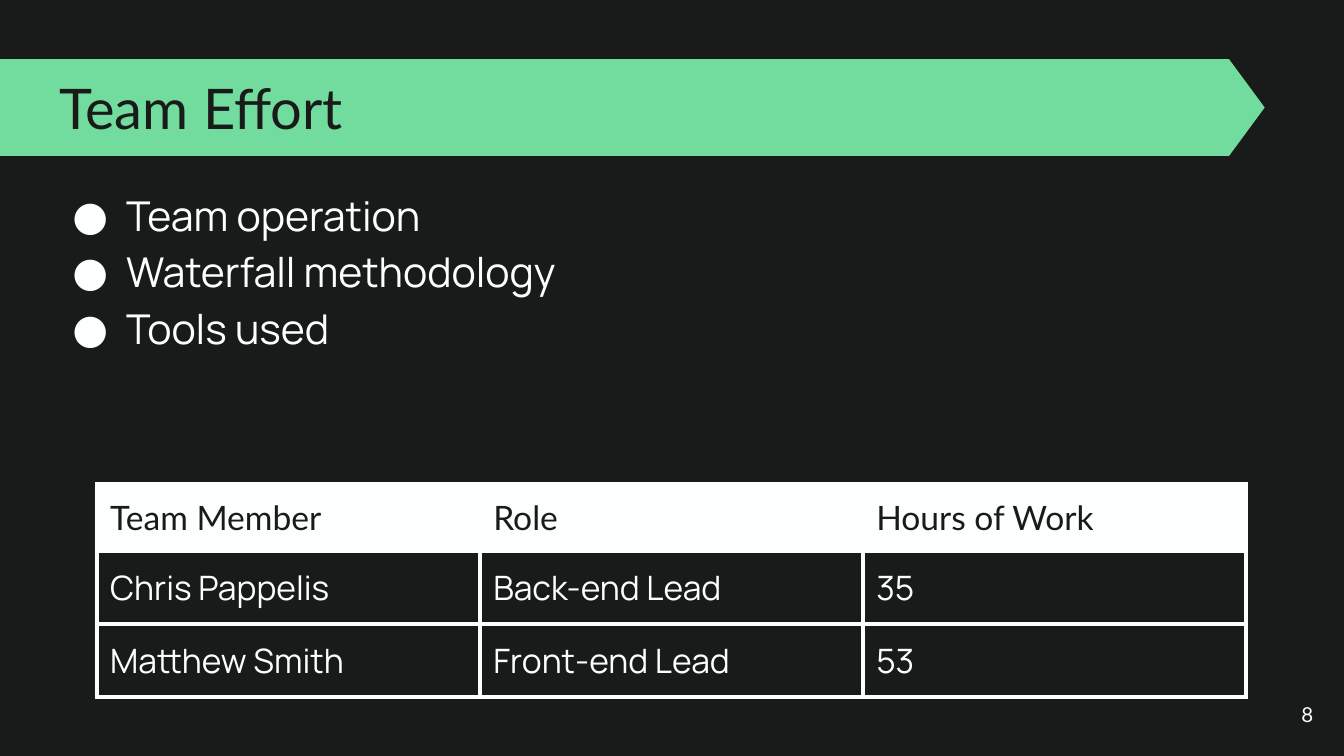
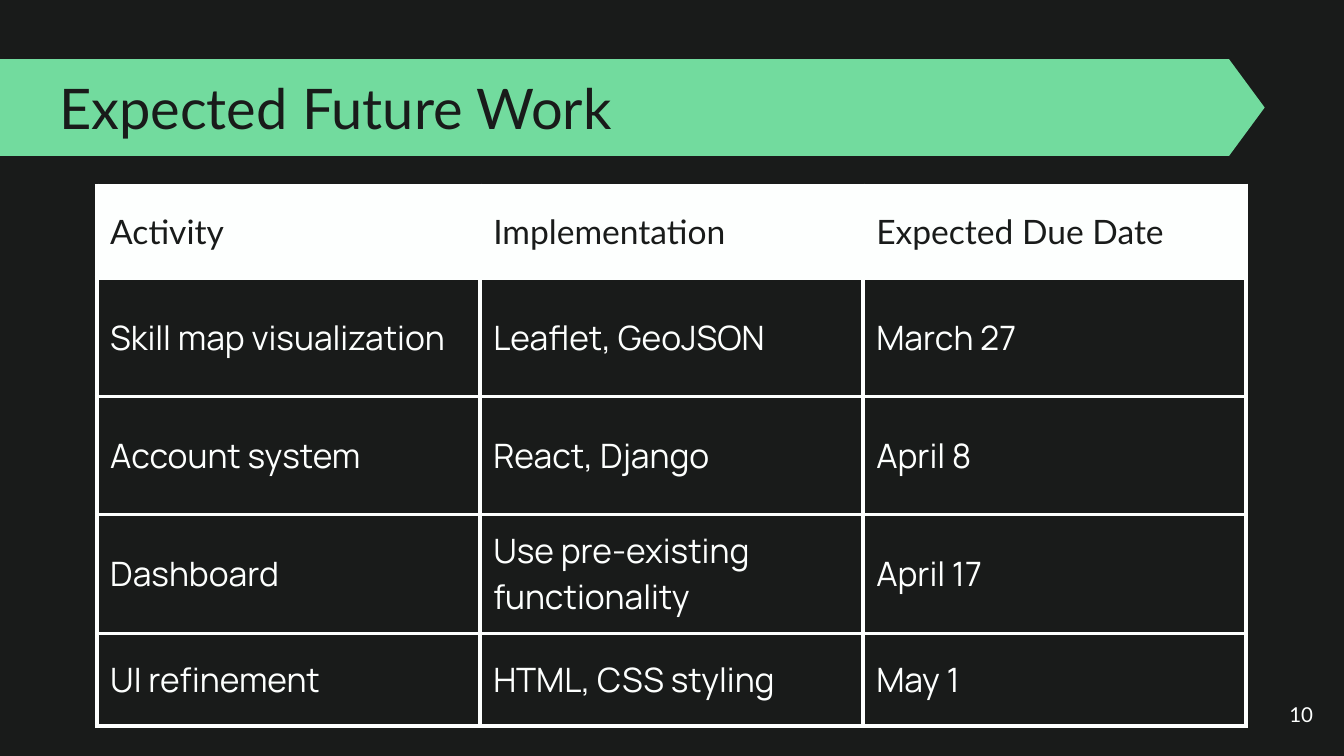
from dataclasses import dataclass

import lxml.etree
import pptx
import pptx.dml.color
import pptx.enum.shapes
import pptx.enum.text
import pptx.oxml.ns
import pptx.presentation
import pptx.shapes.autoshape
import pptx.slide
import pptx.table
import pptx.text.text
import pptx.util

Inches = pptx.util.Inches
Pt = pptx.util.Pt
Color = pptx.dml.color.RGBColor
Align = pptx.enum.text.PP_ALIGN
Anchor = pptx.enum.text.MSO_ANCHOR
qn = pptx.oxml.ns.qn


@dataclass(frozen=True)
class Theme:
    dark: Color = Color.from_string("191B1A")
    light: Color = Color.from_string("FDFFFE")
    green: Color = Color.from_string("72DB9E")
    heading_font: str = "Lato"
    body_font: str = "Manrope"
    title_size: int = 30
    bullet_size: int = 22
    table_size: int = 18
    number_size: int = 11
    border_width: float = 2.25


@dataclass(frozen=True)
class Area:
    left: float
    top: float
    width: float
    height: float

    def lengths(self) -> tuple[int, int, int, int]:
        return (Inches(self.left), Inches(self.top), Inches(self.width), Inches(self.height))


@dataclass(frozen=True)
class TableContent:
    top: float
    row_heights: list[float]
    rows: list[list[str]]


@dataclass(frozen=True)
class PageContent:
    title: str
    number: int
    table: TableContent
    bullets: tuple[str, ...] = ()


THEME = Theme()
BAND = Area(0, 0.44, 9.41, 0.72)
TITLE = Area(0.34, 0.44, 9.32, 0.72)
BODY = Area(0.34, 1.26, 9.32, 2.13)
NUMBER = Area(9.27, 5.1, 0.6, 0.43)
MARGIN = Inches(0.1)
TABLE_LEFT = 0.72
COLUMN_WIDTH = 2.85

PAGES = [
    PageContent(
        "Team Effort",
        8,
        TableContent(
            3.6,
            [0.45, 0.45, 0.45],
            [
                ["Team Member", "Role", "Hours of Work"],
                ["Chris Pappelis", "Back-end Lead", "35"],
                ["Matthew Smith", "Front-end Lead", "53"],
            ],
        ),
        ("Team operation", "Waterfall methodology", "Tools used"),
    ),
    PageContent(
        "Expected Future Work",
        10,
        TableContent(
            1.38,
            [0.69, 0.88, 0.88, 0.69, 0.69],
            [
                ["Activity", "Implementation", "Expected Due Date"],
                ["Skill map visualization", "Leaflet, GeoJSON", "March 27"],
                ["Account system", "React, Django", "April 8"],
                ["Dashboard", "Use pre-existing functionality", "April 17"],
                ["UI refinement", "HTML, CSS styling", "May 1"],
            ],
        ),
    ),
]


def style_paragraph(
    para: pptx.text.text._Paragraph, font: str, size: int, color: Color, align: Align = Align.LEFT
) -> None:
    para.alignment = align
    para.font.name = font
    para.font.size = Pt(size)
    para.font.bold = False
    para.font.color.rgb = color


def prepare_frame(frame: pptx.text.text.TextFrame, anchor: Anchor) -> None:
    frame.word_wrap = True
    frame.auto_size = pptx.enum.text.MSO_AUTO_SIZE.NONE
    frame.vertical_anchor = anchor
    frame.margin_left = frame.margin_right = MARGIN
    frame.margin_top = frame.margin_bottom = MARGIN


def draw_band(page: pptx.slide.Slide) -> pptx.shapes.autoshape.Shape:
    band = page.shapes.add_shape(pptx.enum.shapes.MSO_SHAPE.PENTAGON, *BAND.lengths())
    band.adjustments[0] = 0.368
    band.shadow.inherit = False
    band.fill.solid()
    band.fill.fore_color.rgb = THEME.green
    band.line.fill.background()
    return band


def draw_title(page: pptx.slide.Slide, text: str) -> None:
    title = page.shapes.title
    title.left, title.top, title.width, title.height = TITLE.lengths()
    prepare_frame(title.text_frame, Anchor.MIDDLE)
    title.text_frame.text = text
    style_paragraph(
        title.text_frame.paragraphs[0], THEME.heading_font, THEME.title_size, THEME.dark
    )


def draw_number(page: pptx.slide.Slide, number: int) -> None:
    frame = page.shapes.add_textbox(*NUMBER.lengths()).text_frame
    prepare_frame(frame, Anchor.MIDDLE)
    frame.text = str(number)
    style_paragraph(
        frame.paragraphs[0], THEME.heading_font, THEME.number_size, THEME.light, Align.RIGHT
    )


def add_bullet(para: pptx.text.text._Paragraph) -> None:
    properties = para._p.get_or_add_pPr()
    properties.set("marL", str(Inches(0.5)))
    properties.set("indent", str(Inches(-0.4)))
    color = lxml.etree.Element(qn("a:buClr"))
    lxml.etree.SubElement(color, qn("a:srgbClr"), val=str(THEME.light))
    font = lxml.etree.Element(qn("a:buFont"), typeface=THEME.body_font)
    mark = lxml.etree.Element(qn("a:buChar"), char="●")
    default_font = properties.find(qn("a:defRPr"))
    for element in (color, font, mark):
        default_font.addprevious(element)


def draw_bullets(page: pptx.slide.Slide, bullets: tuple[str, ...]) -> None:
    frame = page.shapes.add_textbox(*BODY.lengths()).text_frame
    prepare_frame(frame, Anchor.TOP)
    frame.text = "\n".join(bullets)
    for para in frame.paragraphs:
        style_paragraph(para, THEME.body_font, THEME.bullet_size, THEME.light)
        para.line_spacing = 1.15
        add_bullet(para)


def add_borders(cell: pptx.table._Cell) -> None:
    properties = cell._tc.get_or_add_tcPr()
    for side in ("a:lnL", "a:lnR", "a:lnT", "a:lnB"):
        line = lxml.etree.SubElement(properties, qn(side), w=str(Pt(THEME.border_width)))
        fill = lxml.etree.SubElement(line, qn("a:solidFill"))
        lxml.etree.SubElement(fill, qn("a:srgbClr"), val=str(THEME.light))


def draw_cell(cell: pptx.table._Cell, text: str, is_header: bool) -> None:
    add_borders(cell)
    cell.text = text
    cell.vertical_anchor = Anchor.MIDDLE
    cell.margin_left = cell.margin_right = MARGIN
    cell.margin_top = cell.margin_bottom = MARGIN
    para = cell.text_frame.paragraphs[0]
    if is_header:
        cell.fill.solid()
        cell.fill.fore_color.rgb = THEME.light
        style_paragraph(para, THEME.heading_font, THEME.table_size, THEME.dark)
    else:
        cell.fill.background()
        style_paragraph(para, THEME.body_font, THEME.table_size, THEME.light)


def draw_table(page: pptx.slide.Slide, content: TableContent) -> None:
    column_count = len(content.rows[0])
    area = Area(
        TABLE_LEFT, content.top, COLUMN_WIDTH * column_count, sum(content.row_heights)
    )
    table = page.shapes.add_table(len(content.rows), column_count, *area.lengths()).table
    table.horz_banding = False
    for column in table.columns:
        column.width = Inches(COLUMN_WIDTH)
    for row_index, (height, texts) in enumerate(zip(content.row_heights, content.rows)):
        table.rows[row_index].height = Inches(height)
        for column_index, text in enumerate(texts):
            draw_cell(table.cell(row_index, column_index), text, row_index == 0)


def draw_page(deck: pptx.presentation.Presentation, content: PageContent) -> None:
    page = deck.slides.add_slide(deck.slide_layouts.get_by_name("Title Only"))
    page.background.fill.solid()
    page.background.fill.fore_color.rgb = THEME.dark
    band = draw_band(page)
    page.shapes.title.element.addprevious(band.element)
    draw_title(page, content.title)
    draw_number(page, content.number)
    draw_table(page, content.table)
    if content.bullets:
        draw_bullets(page, content.bullets)


def main() -> None:
    deck = pptx.Presentation()
    deck.slide_width = Inches(10)
    deck.slide_height = deck.slide_width * 9 // 16
    for content in PAGES:
        draw_page(deck, content)
    deck.save("out.pptx")


if __name__ == "__main__":
    main()
